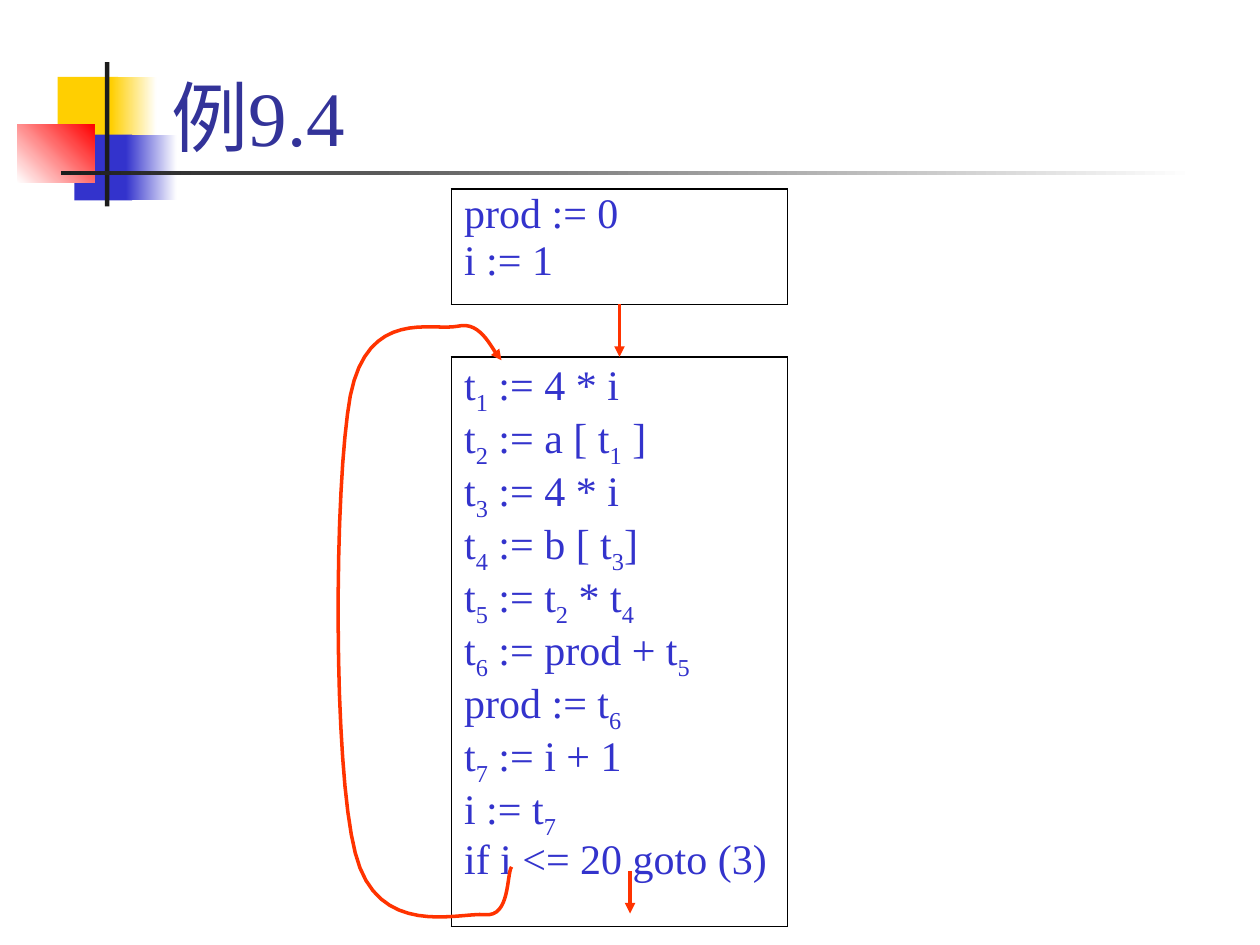
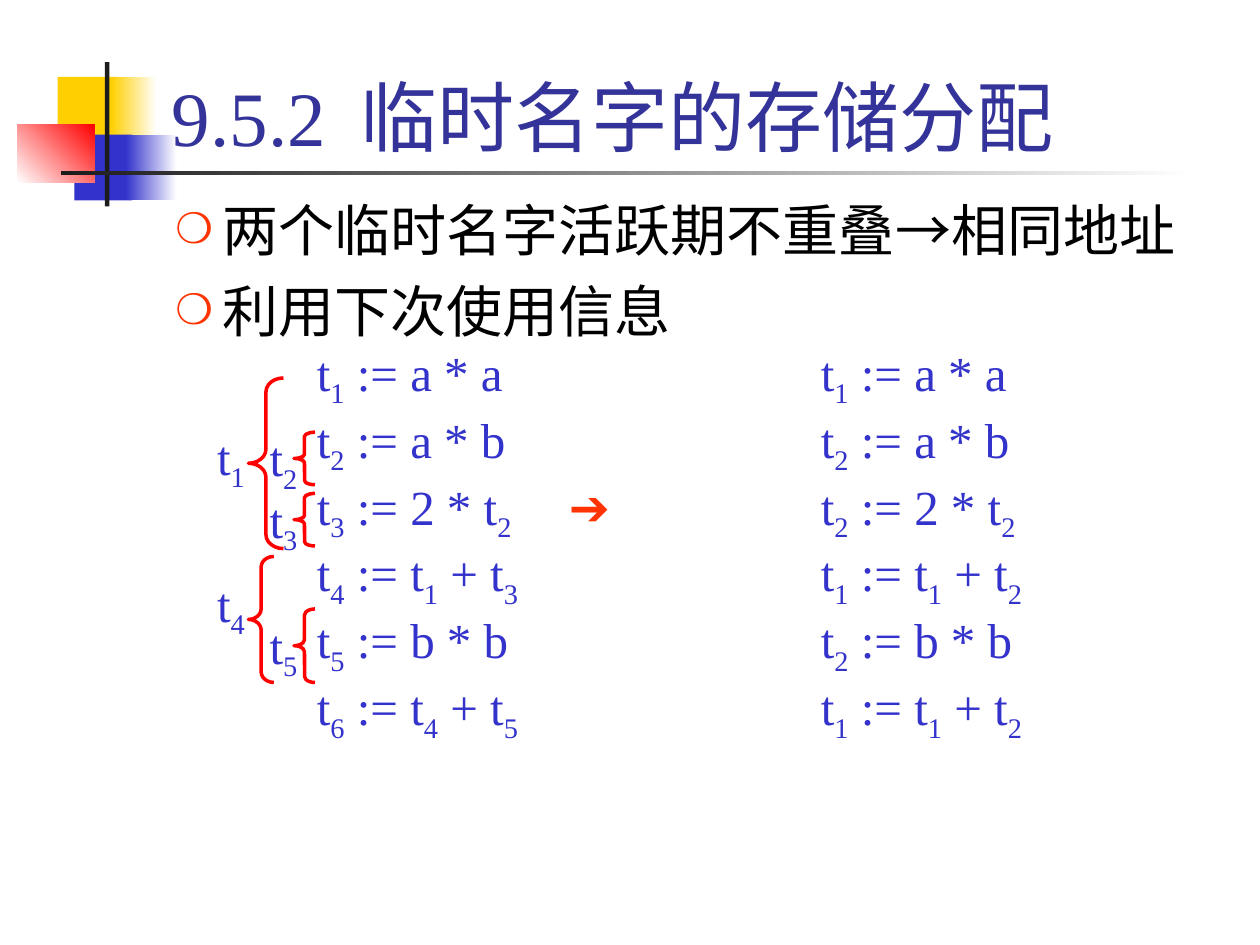
from dataclasses import dataclass
from itertools import groupby
from typing import Iterator, Optional

from lxml.etree import SubElement
from pptx import Presentation
from pptx.dml.color import RGBColor
from pptx.enum.shapes import MSO_CONNECTOR, MSO_SHAPE
from pptx.enum.text import MSO_ANCHOR, MSO_AUTO_SIZE, PP_ALIGN
from pptx.oxml import parse_xml
from pptx.oxml.ns import nsdecls, qn
from pptx.util import Pt

COLORS = {
    "yellow": "FFCF01",
    "blue": "3333CC",
    "red": "FF0000",
    "orange": "FF3300",
    "title": "333399",
    "dark": "1C1C1C",
    "black": "000000",
    "white": "FFFFFF",
}
FONT, SYMBOL_FONT = "Times New Roman", "Arial"
SYMBOLS = "→➔"
LINE_WIDTH = 2


@dataclass
class Band:
    left: float
    top: float
    width: float
    height: float
    color: str
    end_color: Optional[str] = None
    angle: float = 0


@dataclass
class Lifetime:
    """A temporary's live range: its brace and its label."""
    name: str
    left: float
    top: float
    width: float
    height: float
    corner: float
    label_left: float
    label_top: float


BANDS = [
    Band(33, 44, 34.5, 37.5, "yellow"),
    Band(63.5, 44, 26, 37.5, "yellow", "white"),
    Band(42.5, 77, 33, 37.5, "blue"),
    Band(72, 77, 29, 37.5, "blue", "white"),
    Band(10, 71, 44, 33.5, "white", "red", 45),
    Band(60, 35.5, 2.5, 82.5, "dark"),
    Band(35, 98, 648, 2.25, "dark", "white"),
]

LIFETIMES = [
    Lifetime("t_5", 168, 348, 12, 42, 0.29, 144, 348),
    Lifetime("t_4", 142, 318, 14.5, 72, 0.42, 114, 324),
    Lifetime("t_3", 168, 282, 12, 30, 0.2, 144, 276),
    Lifetime("t_1", 142, 216, 20, 97.5, 0.4, 114, 240),
    Lifetime("t_2", 168, 247, 12, 30, 0.2, 144, 241),
]

INIT_BLOCK = ["prod := 0", "i := 1"]
LOOP_BLOCK = [
    "t_1 := 4 * i", "t_2 := a [ t_1 ]", "t_3 := 4 * i", "t_4 := b [ t_3]",
    "t_5 := t_2 * t_4", "t_6 := prod + t_5", "prod := t_6", "t_7 := i + 1",
    "i := t_7", "if i <= 20 goto (3)",
]
BEFORE = ["t_1 := a * a", "t_2 := a * b", "t_3 := 2 * t_2\t➔",
          "t_4 := t_1 + t_3", "t_5 := b * b", "t_6 := t_4 + t_5"]
AFTER = ["t_1 := a * a", "t_2 := a * b", "t_2 := 2 * t_2",
         "t_1 := t_1 + t_2", "t_2 := b * b", "t_1 := t_1 + t_2"]

# Start point, then two control points and an end point for each curve.
LOOP_START = (292.3, 495.4)
LOOP_CURVES = [
    ((289.4, 499.7), (291.6, 524.2), (277.2, 522.7)),
    ((262.1, 521.3), (215.3, 537.1), (203, 487.4)),
    ((190.1, 437.8), (190.8, 276.5), (200.2, 226.1)),
    ((210.2, 175.7), (247, 189.4), (261.4, 186.5)),
    ((275.8, 182.9), (281.5, 201.6), (286.6, 205.9)),
]


def rgb(name: str) -> RGBColor:
    return RGBColor.from_string(COLORS[name])


def styled_chars(text: str) -> Iterator[tuple]:
    """Yield (style, character); an underscore lowers the next character."""
    lowered = False
    for ch in text:
        if ch == "_":
            lowered = True
            continue
        if ch == "\n":
            style = "break"
        elif ch in SYMBOLS:
            style = "symbol"
        else:
            style = "sub" if lowered else "plain"
        lowered = False
        yield style, ch


def add_text(tf, paragraphs: list, *, size: float, color: str,
             symbol_color: Optional[str] = None, align=PP_ALIGN.LEFT,
             before: float = 0, spacing: float = 1, margin: float = 0,
             indent: float = 0, bullet: Optional[str] = None,
             tab: Optional[float] = None) -> None:
    for i, text in enumerate(paragraphs):
        p = tf.paragraphs[0] if i == 0 else tf.add_paragraph()
        p.alignment, p.space_before, p.line_spacing = align, Pt(before), spacing
        pPr = p._p.get_or_add_pPr()
        pPr.set("marL", str(Pt(margin)))
        pPr.set("indent", str(Pt(indent)))
        if bullet:
            clr = SubElement(pPr, qn("a:buClr"))
            SubElement(clr, qn("a:srgbClr"), val=COLORS["orange"])
            SubElement(pPr, qn("a:buSzPct"), val="75000")
            SubElement(pPr, qn("a:buChar"), char=bullet)
        else:
            SubElement(pPr, qn("a:buNone"))
        if tab:
            tabs = SubElement(pPr, qn("a:tabLst"))
            SubElement(tabs, qn("a:tab"), pos=str(Pt(tab)), algn="l")
        for style, chars in groupby(styled_chars(text), key=lambda c: c[0]):
            if style == "break":
                p.add_line_break()
                continue
            is_symbol = style == "symbol"
            r = p.add_run()
            r.text = "".join(ch for _, ch in chars)
            r.font.size = Pt(size)
            r.font.name = SYMBOL_FONT if is_symbol else FONT
            r.font.color.rgb = rgb(symbol_color if is_symbol and symbol_color else color)
            if style == "sub":
                r._r.get_or_add_rPr().set("baseline", "-25000")


def place(sp, left: float, top: float, width: float, height: float) -> None:
    sp.left, sp.top, sp.width, sp.height = map(Pt, (left, top, width, height))


def add_bands(prs, s) -> None:
    """Draw the corner design and move it behind the master's placeholders."""
    tree = prs.slide_master.shapes.element
    for i, b in enumerate(BANDS):
        sp = s.shapes.add_shape(MSO_SHAPE.RECTANGLE, Pt(b.left), Pt(b.top),
                                Pt(b.width), Pt(b.height))
        sp.shadow.inherit = False
        sp.line.fill.background()
        if b.end_color:
            sp.fill.gradient()
            sp.fill.gradient_angle = b.angle
            for stop, name in zip(sp.fill.gradient_stops, (b.color, b.end_color)):
                stop.color.rgb = rgb(name)
        else:
            sp.fill.solid()
            sp.fill.fore_color.rgb = rgb(b.color)
        tree.insert(2 + i, sp.element)


def add_slide(prs, layout: int, title: str, tab: Optional[float] = None):
    s = prs.slides.add_slide(prs.slide_layouts[layout])
    place(s.shapes.title, 91, 6, 613, 90)
    tf = s.shapes.title.text_frame
    tf.vertical_anchor, tf.auto_size = MSO_ANCHOR.BOTTOM, MSO_AUTO_SIZE.NONE
    add_text(tf, [title], size=44, color="title", tab=tab)
    return s


def add_code_block(s, top: float, height: float, lines: list) -> None:
    """Add a bordered one-cell table that holds a basic block."""
    table = s.shapes.add_table(1, 1, Pt(258), Pt(top), Pt(192), Pt(height)).table
    table.first_row = table.horz_banding = False
    cell = table.cell(0, 0)
    cell.fill.background()
    tcPr = cell._tc.get_or_add_tcPr()
    for i, side in enumerate(("lnL", "lnR", "lnT", "lnB")):
        tcPr.insert(i, parse_xml(
            f'<a:{side} {nsdecls("a")} w="{Pt(1.08)}"><a:solidFill>'
            f'<a:srgbClr val="{COLORS["black"]}"/></a:solidFill></a:{side}>'))
    add_text(cell.text_frame, lines, size=24, color="blue", before=3, spacing=0.9)


def format_line(sp, color: str, arrow: bool = False) -> None:
    sp.line.color.rgb = rgb(color)
    sp.line.width = Pt(LINE_WIDTH)
    if arrow:
        SubElement(sp.line._get_or_add_ln(), qn("a:tailEnd"), type="triangle")


def add_down_arrow(s, x: float, top: float, bottom: float) -> None:
    c = s.shapes.add_connector(MSO_CONNECTOR.STRAIGHT, Pt(x), Pt(top), Pt(x), Pt(bottom))
    format_line(c, "orange", arrow=True)
    SubElement(c.element.spPr, qn("a:effectLst"))


def curve_points(start: tuple, curves: list, steps: int = 16) -> Iterator[tuple]:
    """Sample a chain of cubic Bezier curves."""
    for a, b, end in curves:
        for n in range(1, steps + 1):
            t = n / steps
            u = 1 - t
            yield tuple(Pt(u**3 * p0 + 3 * u * u * t * p1 + 3 * u * t * t * p2 + t**3 * p3)
                        for p0, p1, p2, p3 in zip(start, a, b, end))
        start = end


def add_loop_arrow(s) -> None:
    fb = s.shapes.build_freeform(*map(Pt, LOOP_START))
    fb.add_line_segments(list(curve_points(LOOP_START, LOOP_CURVES)), close=False)
    sp = fb.convert_to_shape()
    sp.shadow.inherit = False
    sp.fill.background()
    format_line(sp, "orange", arrow=True)


def add_text_box(s, left: float, top: float, width: float, height: float,
                 text: str, **fmt) -> None:
    tf = s.shapes.add_textbox(Pt(left), Pt(top), Pt(width), Pt(height)).text_frame
    tf.word_wrap = True
    add_text(tf, [text], size=28, color="blue", **fmt)


def add_lifetime(s, lt: Lifetime) -> None:
    sp = s.shapes.add_shape(MSO_SHAPE.LEFT_BRACE, Pt(lt.left), Pt(lt.top),
                            Pt(lt.width), Pt(lt.height))
    sp.adjustments[0] = lt.corner
    sp.shadow.inherit = False
    sp.fill.background()
    format_line(sp, "red")
    add_text_box(s, lt.label_left, lt.label_top, 36, 45, lt.name,
                 align=PP_ALIGN.CENTER, before=17.5)


def build_flow_graph(prs) -> None:
    s = add_slide(prs, 5, "例9.4")
    add_bands(prs, s)
    add_code_block(s, 108, 66, INIT_BLOCK)
    add_code_block(s, 204, 325.5, LOOP_BLOCK)
    add_down_arrow(s, 354, 174, 204)
    add_down_arrow(s, 360, 498, 522)
    add_loop_arrow(s)


def build_temporaries(prs) -> None:
    s = add_slide(prs, 1, "9.5.2\t临时名字的存储分配", tab=121)
    body = s.placeholders[1]
    place(body, 93, 108, 612, 108)
    body.text_frame.auto_size = MSO_AUTO_SIZE.NONE
    add_text(body.text_frame, ["两个临时名字活跃期不重叠→相同地址", "利用下次使用信息"],
             size=32, color="black", before=8, margin=27, indent=-27, bullet="❍")
    for left, width, lines in ((138, 264, BEFORE), (426, 192, AFTER)):
        add_text_box(s, left, 192, width, 300, "\n".join(lines), before=7,
                     margin=36, tab=144, symbol_color="orange")
    for lt in LIFETIMES:
        add_lifetime(s, lt)


def main() -> None:
    prs = Presentation()
    prs.slide_width, prs.slide_height = Pt(720), Pt(540)
    build_flow_graph(prs)
    build_temporaries(prs)
    prs.save("out.pptx")


if __name__ == "__main__":
    main()
